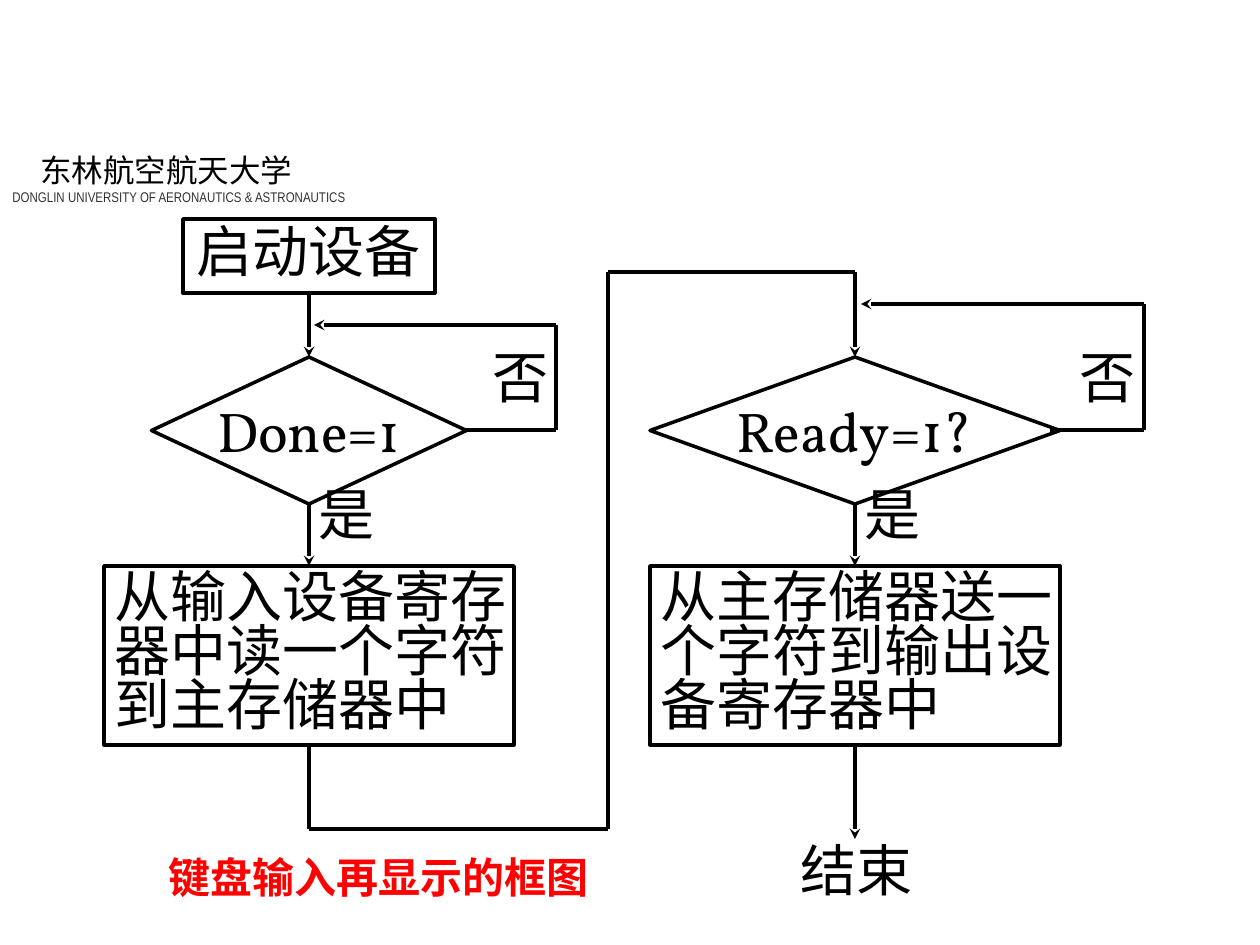
import pptx
import pptx.util
import pptx.dml.color
import pptx.enum.shapes
import pptx.enum.text
import pptx.oxml.ns
import lxml.etree

PX = 914400 / 126
COLORS = {"ink": "000000", "grey": "333333", "red": "FF0000"}
SHAPES = pptx.enum.shapes.MSO_SHAPE
ALIGN = pptx.enum.text.PP_ALIGN

HEADER = [
    (["东林航空航天大学"], dict(size=18, font="Arial", indent=28)),
    (["DONGLIN UNIVERSITY OF AERONAUTICS & ASTRONAUTICS"],
     dict(size=8, font="Arial Narrow", color="grey")),
]
START = ("启动设备", (183, 219, 252, 74))
CAPTION = ("键盘输入再显示的框图", (74, 845, 609, 73))
END = ("结束", (789, 839, 136, 73))
BRANCHES = [
    dict(center=309, question="Done=1", diamond_width=315, entry=293,
         loop_right=556, loop_left=466, loop_top=325, loop_end=314, no_left=483,
         action=["从输入设备寄存", "器中读一个字符", "到主存储器中"]),
    dict(center=855, question="Ready=1?", diamond_width=410, entry=272,
         loop_right=1144, loop_left=1050, loop_top=304, loop_end=861, no_left=1070,
         action=["从主存储器送一", "个字符到输出设", "备寄存器中"]),
]
DIAMOND_TOP, DIAMOND_HEIGHT = 357, 147
DIAMOND_BOTTOM = DIAMOND_TOP + DIAMOND_HEIGHT
LOOP_Y = 430
ACTION_TOP, ACTION_WIDTH, ACTION_HEIGHT = 566, 410, 179
ACTION_BOTTOM = ACTION_TOP + ACTION_HEIGHT
LABEL_SIZE = 73
LINK_X, LINK_TOP, LINK_BOTTOM = 608, 272, 829


def emu(px):
    return pptx.util.Emu(round(px * PX))


def rgb(name):
    return pptx.dml.color.RGBColor.from_string(COLORS[name])


def write(frame, lines, size=32, font="Vollkorn", color="ink", bold=False,
          align=ALIGN.CENTER, spacing=None, indent=0, append=False):
    for index, line in enumerate(lines):
        if index or append:
            paragraph = frame.add_paragraph()
        else:
            paragraph = frame.paragraphs[0]
        paragraph.alignment = align
        if spacing:
            paragraph.line_spacing = spacing
        if indent:
            properties = paragraph._p.get_or_add_pPr()
            properties.set("marL", str(emu(indent)))
            properties.set("indent", "0")
        run = paragraph.add_run()
        run.text = line
        run.font.size = pptx.util.Pt(size)
        run.font.name = font
        run.font.bold = bold
        run.font.color.rgb = rgb(color)


def set_frame(frame, margin_x, margin_y, wrap, anchor):
    frame.margin_left = frame.margin_right = emu(margin_x)
    frame.margin_top = frame.margin_bottom = emu(margin_y)
    frame.word_wrap = wrap
    frame.vertical_anchor = anchor


def add_box(slide, lines, box, kind=None, **text_format):
    place = [emu(value) for value in box]
    if kind is None:
        shape = slide.shapes.add_textbox(*place)
    else:
        shape = slide.shapes.add_shape(kind, *place)
        shape.shadow.inherit = False
        shape.fill.background()
        shape.line.color.rgb = rgb("ink")
        shape.line.width = pptx.util.Pt(2)
    set_frame(shape.text_frame, 10, 5, False, pptx.enum.text.MSO_ANCHOR.MIDDLE)
    write(shape.text_frame, lines, **text_format)


def add_line(slide, start, end, arrow=False):
    line = slide.shapes.add_connector(
        pptx.enum.shapes.MSO_CONNECTOR.STRAIGHT,
        *[emu(value) for value in start + end])
    line.line.color.rgb = rgb("ink")
    line.line.width = pptx.util.Pt(2)
    if arrow:
        tail = lxml.etree.SubElement(
            line.line._get_or_add_ln(), pptx.oxml.ns.qn("a:tailEnd"))
        tail.set("type", "stealth")
    lxml.etree.SubElement(
        line._element.spPr, pptx.oxml.ns.qn("a:effectLst"))


def add_path(slide, points, arrow=False):
    last = len(points) - 2
    for index, (start, end) in enumerate(zip(points, points[1:])):
        add_line(slide, start, end, arrow and index == last)


def add_header(slide):
    box = slide.shapes.add_textbox(emu(0), emu(145), emu(382), emu(84))
    set_frame(box.text_frame, 12.6, 6.3, True, pptx.enum.text.MSO_ANCHOR.TOP)
    for index, (lines, text_format) in enumerate(HEADER):
        write(box.text_frame, lines, align=ALIGN.LEFT,
              append=index > 0, **text_format)


def add_branch(slide, branch):
    center, width = branch["center"], branch["diamond_width"]
    right, top = branch["loop_right"], branch["loop_top"]
    add_line(slide, (center, branch["entry"]), (center, DIAMOND_TOP), True)
    add_box(slide, [branch["question"]],
            (center - width / 2, DIAMOND_TOP, width, DIAMOND_HEIGHT),
            SHAPES.DIAMOND)
    add_path(slide, [(branch["loop_left"], LOOP_Y), (right, LOOP_Y),
                     (right, top), (branch["loop_end"], top)], True)
    add_box(slide, ["否"], (branch["no_left"], 346, LABEL_SIZE, LABEL_SIZE),
            spacing=0.8)
    add_line(slide, (center, DIAMOND_BOTTOM), (center, ACTION_TOP), True)
    add_box(slide, ["是"], (center, 483, LABEL_SIZE, LABEL_SIZE), spacing=0.8)
    add_box(slide, branch["action"],
            (center - ACTION_WIDTH / 2, ACTION_TOP, ACTION_WIDTH, ACTION_HEIGHT),
            SHAPES.RECTANGLE, align=ALIGN.LEFT, spacing=0.8)


def main():
    presentation = pptx.Presentation()
    presentation.slide_width = emu(1260)
    presentation.slide_height = emu(945)
    slide = presentation.slides.add_slide(presentation.slide_layouts[6])
    add_header(slide)
    add_box(slide, [START[0]], START[1], SHAPES.RECTANGLE, spacing=0.8)
    for branch in BRANCHES:
        add_branch(slide, branch)
    left, right = [branch["center"] for branch in BRANCHES]
    add_path(slide, [(left, ACTION_BOTTOM), (left, LINK_BOTTOM),
                     (LINK_X, LINK_BOTTOM), (LINK_X, LINK_TOP),
                     (right, LINK_TOP)])
    add_line(slide, (right, ACTION_BOTTOM), (right, END[1][1]), True)
    add_box(slide, [END[0]], END[1], spacing=0.8)
    add_box(slide, [CAPTION[0]], CAPTION[1], size=24, color="red",
            bold=True, spacing=0.8)
    presentation.save("out.pptx")


if __name__ == "__main__":
    main()
